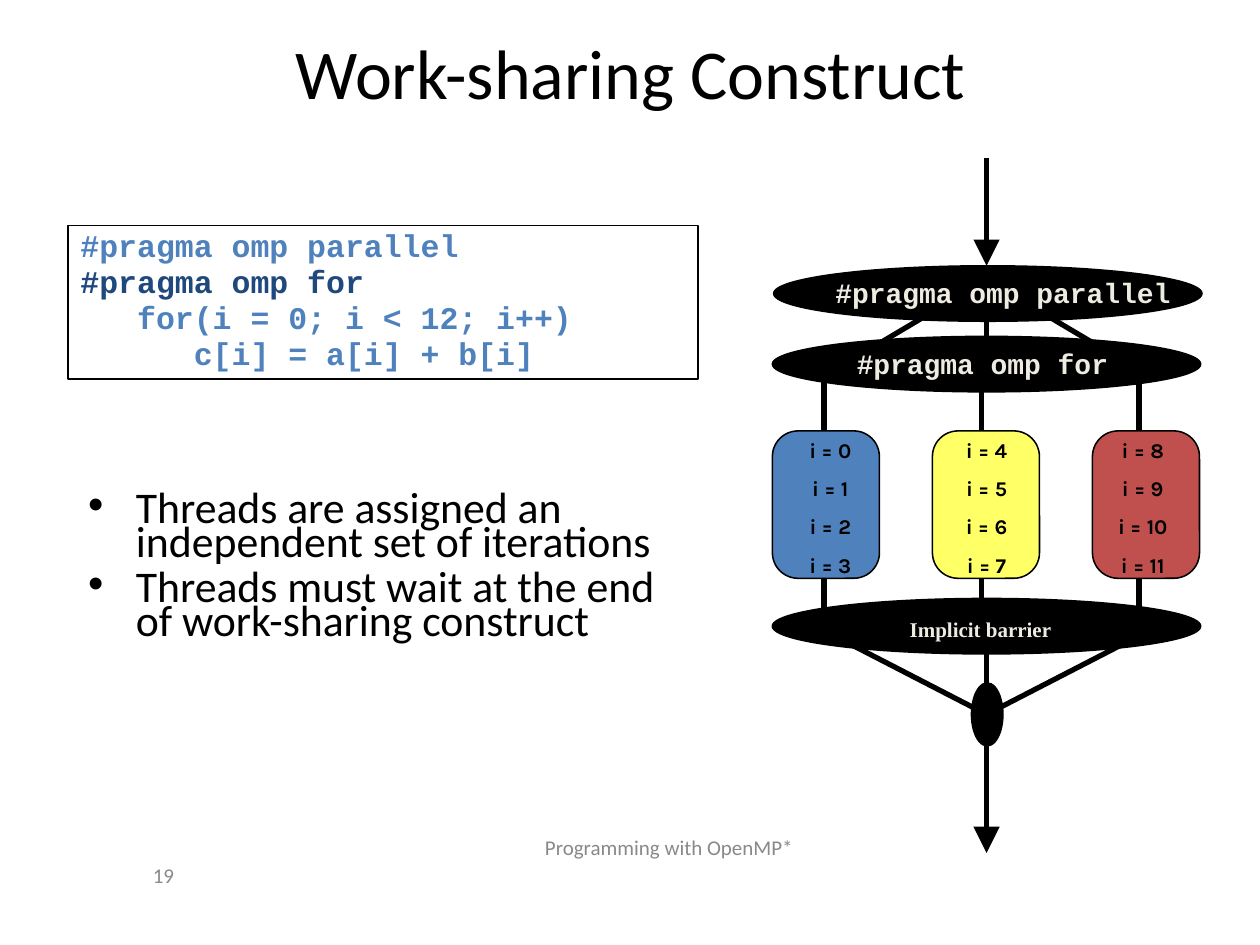
from pptx import Presentation
from pptx.dml.color import RGBColor
from pptx.enum.shapes import MSO_CONNECTOR as Connector, MSO_SHAPE as Shape
from pptx.enum.text import MSO_ANCHOR as Anchor, PP_ALIGN as Align
from pptx.oxml.ns import qn
from pptx.util import Inches, Pt
from lxml.etree import SubElement

COLORS = {
    "black": "000000", "white": "FFFFFF", "grey": "898989", "cream": "EEECE1",
    "blue": "4F81BD", "navy": "1F497D", "yellow": "FFFF66", "red": "C0504D",
}


def color(name):
    """Return the palette colour with this name."""
    return RGBColor.from_string(COLORS[name])


def write(frame, lines, font, size, ink, bold=False, align=Align.LEFT,
          anchor=Anchor.TOP, inset=True):
    """Fill a text frame with evenly styled paragraphs and return them."""
    frame.text = "\n".join(lines)
    frame.word_wrap = True
    frame.vertical_anchor = anchor
    frame.margin_left = frame.margin_right = Inches(0.1 if inset else 0)
    frame.margin_top = frame.margin_bottom = Inches(0.05 if inset else 0)
    for paragraph in frame.paragraphs:
        paragraph.alignment = align
        for run in paragraph.runs:
            run.font.name, run.font.size, run.font.bold = font, Pt(size), bold
            run.font.color.rgb = color(ink)
    return frame.paragraphs


def add_text(slide, box, lines, font, size, ink, **style):
    """Add a text box at box and return its paragraphs."""
    area = slide.shapes.add_textbox(*map(Inches, box))
    return write(area.text_frame, lines, font, size, ink, **style)


def add_block(slide, kind, box, fill, line_width=0.88):
    """Add a filled preset shape with a thin black outline."""
    block = slide.shapes.add_shape(kind, *map(Inches, box))
    block.shadow.inherit = False
    block.fill.solid()
    block.fill.fore_color.rgb = color(fill)
    block.line.color.rgb = color("black")
    block.line.width = Pt(line_width)
    return block


def add_line(slide, start, end, arrow=False):
    """Join two points with a black line, optionally ending in an arrowhead."""
    line = slide.shapes.add_connector(
        Connector.STRAIGHT, *map(Inches, (*start, *end)))
    line.line.color.rgb = color("black")
    line.line.width = Pt(3)
    if arrow:
        SubElement(line.line._get_or_add_ln(), qn("a:tailEnd"),
                   type="triangle", w="lg", len="lg")
    SubElement(line._element.spPr, qn("a:effectLst"))


def add_code(slide, box):
    """Draw the framed code sample."""
    code = [("#pragma omp parallel", "blue", 0), ("#pragma omp for", "navy", 0),
            ("for(i = 0; i < 12; i++)", "blue", 0.45),
            ("c[i] = a[i] + b[i]", "blue", 0.9)]
    frame = add_block(slide, Shape.RECTANGLE, box, "white", 1).text_frame
    paragraphs = write(frame, [text for text, _, _ in code],
                       "Courier New", 18, "blue", bold=True)
    for paragraph, (_, ink, indent) in zip(paragraphs, code):
        paragraph.line_spacing, paragraph.space_before = 0.85, Pt(2.2)
        paragraph.runs[0].font.color.rgb = color(ink)
        paragraph._p.get_or_add_pPr().set("marL", str(Inches(indent)))


def add_bullets(slide, box):
    """Write the two points about threads."""
    points = ["Threads are assigned an independent set of iterations",
              "Threads must wait at the end of work-sharing construct"]
    for paragraph in add_text(slide, box, points, "Calibri", 25, "black"):
        paragraph.line_spacing, paragraph.space_before = 0.65, Pt(6.2)
        properties = paragraph._p.get_or_add_pPr()
        properties.set("marL", str(Inches(0.38)))
        properties.set("indent", str(Inches(-0.38)))
        SubElement(properties, qn("a:buFont"), typeface="Arial")
        SubElement(properties, qn("a:buChar"), char="\u2022")


def add_thread(slide, box, fill, first, text_left):
    """Draw one thread with its four iterations."""
    block = add_block(slide, Shape.ROUNDED_RECTANGLE, box, fill)
    block.adjustments[0] = 0.24
    iterations = [f"i = {i}" for i in range(first, first + 4)]
    for paragraph in add_text(slide, (text_left, box[1], 0.92, 1.22),
                              iterations, "Karla", 12, "black", bold=True,
                              align=Align.CENTER):
        paragraph.space_before = Pt(7.5)


def add_flow(slide, box):
    """Draw the fork and join of the threads from top to bottom."""
    left, top, width, height = box
    center = left + 1.7
    fork, split, join, end = top + 0.97, top + 1.73, top + 3.76, top + 4.42

    for thread in range(3):
        lane = left + 0.41 + 1.25 * thread
        spread = center + 1.28 * (thread - 1)
        add_line(slide, (lane, top + 1.75), (lane, top + 2.2))
        add_line(slide, (lane, top + 3.15), (lane, top + 3.6))
        add_line(slide, (center, fork), (spread, split))
        add_line(slide, (spread, join), (center, end))
    for thread, fill in enumerate(("blue", "yellow", "red")):
        add_thread(slide, (left + 1.27 * thread, top + 2.17, 0.85, 1.17),
                   fill, 4 * thread, left + 1.24 * thread)

    add_line(slide, (center, top), (center, top + 0.86), arrow=True)
    add_line(slide, (center, top + 4.63), (center, top + height), arrow=True)
    add_block(slide, Shape.OVAL, (center - 0.12, top + 4.17, 0.25, 0.5), "black")

    stages = [
        ("#pragma omp parallel", "Courier New", 16, 0.01, 0.86, (0.5, 0.94, 2.85, 0.27)),
        ("#pragma omp for", "Courier New", 16, 0, 1.42, (0.67, 1.5, 2.2, 0.27)),
        ("Implicit barrier", "Times New Roman", 12, 0, 3.5, (1.09, 3.64, 1.3, 0.2)),
    ]
    for label, font, size, dx, dy, (x, y, w, h) in stages:
        add_block(slide, Shape.OVAL, (left + dx, top + dy, 3.4, 0.44), "black")
        add_text(slide, (left + x, top + y, w, h), [label], font, size,
                 "cream", bold=True, inset=False)


def add_footer(slide, box):
    """Write the page number and the course name."""
    left, top, width, height = box
    add_text(slide, (left, top + 0.22, 0.45, 0.33), ["19"], "Calibri", 12,
             "grey", align=Align.RIGHT, anchor=Anchor.MIDDLE)
    add_text(slide, (left + 2.28, top, 4, 0.33), ["Programming with OpenMP*"],
             "Calibri", 12, "grey", align=Align.CENTER, anchor=Anchor.MIDDLE)


def build():
    """Build and save the slide."""
    deck = Presentation()
    deck.slide_width, deck.slide_height = Inches(10), Inches(7.5)
    slide = deck.slides.add_slide(deck.slide_layouts[6])
    add_footer(slide, (1.03, 6.56, 6.28, 0.55))
    add_text(slide, (0.5, 0.3, 9.01, 0.53), ["Work-sharing Construct"],
             "Calibri", 40, "black", align=Align.CENTER, anchor=Anchor.MIDDLE)
    add_bullets(slide, (0.6, 3.89, 4.99, 1.52))
    add_flow(slide, (6.13, 1.25, 3.41, 5.52))
    add_code(slide, (0.54, 1.79, 5, 1.22))
    deck.save("out.pptx")


build()
